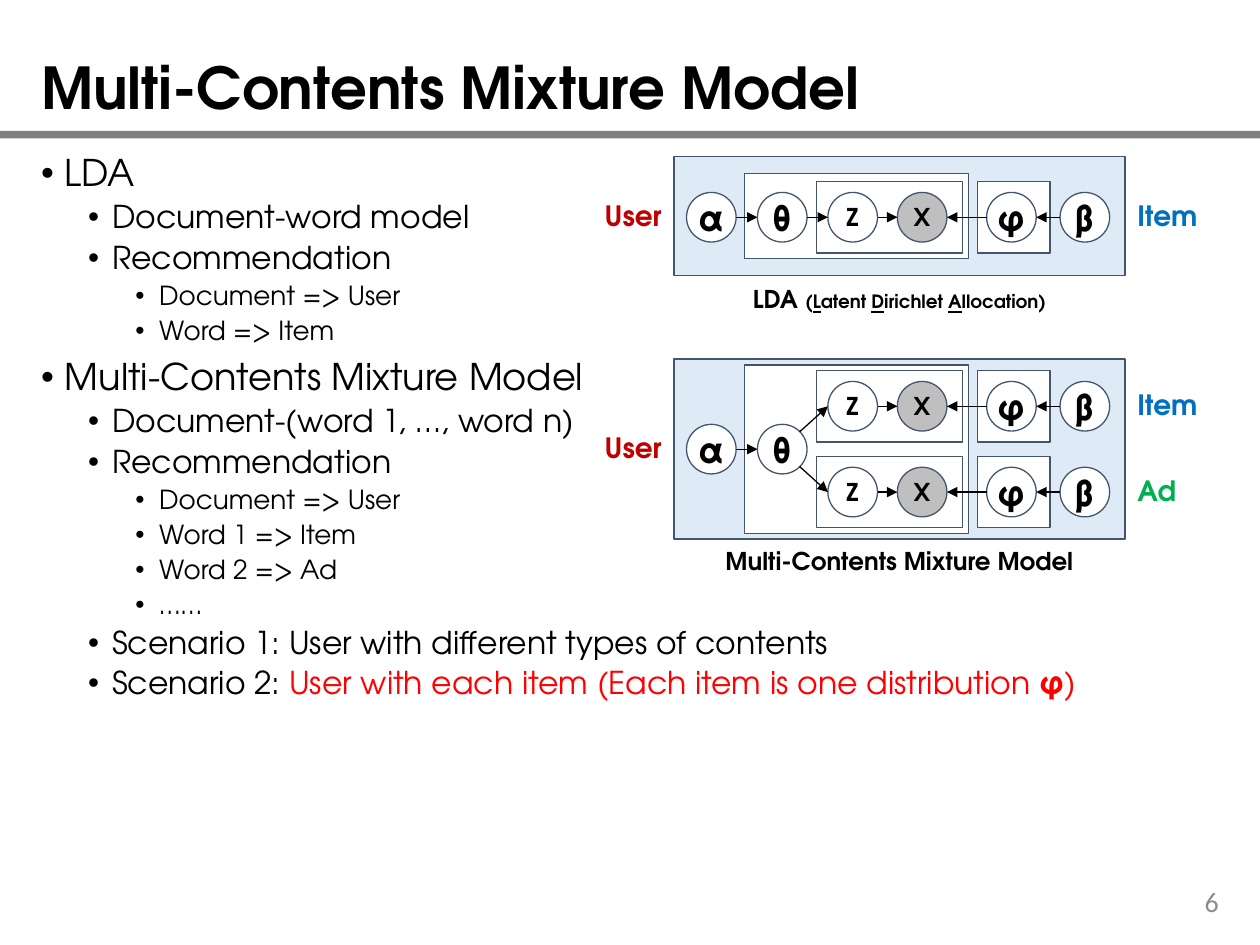
"""Builds the Multi-Contents Mixture Model slide."""
import pptx
import pptx.dml.color
import pptx.enum.shapes
import pptx.enum.text
import pptx.oxml.ns
import pptx.util
from lxml import etree
from pptx.util import Cm

RGBColor = pptx.dml.color.RGBColor
Shape = pptx.enum.shapes.MSO_SHAPE
Align = pptx.enum.text.PP_ALIGN
Anchor = pptx.enum.text.MSO_ANCHOR

BLACK = RGBColor(0, 0, 0)
WHITE = RGBColor(255, 255, 255)
GRAY = RGBColor(0x80, 0x80, 0x80)
NUMBER_GRAY = RGBColor(0x8C, 0x8C, 0x8C)
OBSERVED = RGBColor(0xBF, 0xBF, 0xBF)
PANEL = RGBColor(0xDE, 0xEB, 0xF7)
OUTLINE = RGBColor(0x44, 0x54, 0x6A)
RED = RGBColor(255, 0, 0)
DARK_RED = RGBColor(0xC0, 0, 0)
BLUE = RGBColor(0, 0x70, 0xC0)
GREEN = RGBColor(0, 0xB0, 0x50)

DIAMETER = 1.0
RADIUS = DIAMETER / 2
PANEL_LEFT, PANEL_WIDTH = 13.59, 9.09
ALPHA, THETA, Z, X, PHI, BETA = 14.34, 15.77, 17.19, 18.59, 20.39, 21.87
LEVELS = [(21, 7.5, 0.48), (18, 3.8, 1.43), (15, 3.8, 2.38)]


class SlideBuilder:
    def __init__(self, slide, font="TeX Gyre Adventor"):
        self.slide = slide
        self.font = font

    def style(self, paragraph, size, color=BLACK, bold=False, font=None):
        paragraph.font.size = pptx.util.Pt(size)
        paragraph.font.bold = bold
        paragraph.font.color.rgb = color
        paragraph.font.name = font or self.font
        properties = paragraph._p.get_or_add_pPr().find(pptx.oxml.ns.qn("a:defRPr"))
        east_asian = etree.SubElement(properties, pptx.oxml.ns.qn("a:ea"))
        east_asian.set("typeface", font or self.font)

    def text(self, left, top, width, height, text, size, color=BLACK, bold=True,
             align=Align.LEFT, spacing=1.0, wrap=False, font=None):
        box = self.slide.shapes.add_textbox(Cm(left), Cm(top), Cm(width), Cm(height))
        box.text_frame.word_wrap = wrap
        box.text_frame.vertical_anchor = Anchor.MIDDLE
        paragraph = box.text_frame.paragraphs[0]
        paragraph.text = text
        paragraph.alignment = align
        paragraph.line_spacing = spacing
        self.style(paragraph, size, color, bold, font)
        return paragraph

    def outline(self, left, top, width, height, items):
        box = self.slide.shapes.add_textbox(Cm(left), Cm(top), Cm(width), Cm(height))
        frame = box.text_frame
        frame.word_wrap = True
        for index, (level, text) in enumerate(items):
            paragraph = frame.add_paragraph() if index else frame.paragraphs[0]
            paragraph.level = level
            size, before, indent = LEVELS[level]
            properties = paragraph._p.get_or_add_pPr()
            properties.set("marL", str(Cm(indent)))
            properties.set("indent", str(Cm(-0.48)))
            bullet_font = etree.SubElement(properties, pptx.oxml.ns.qn("a:buFont"))
            bullet_font.set("typeface", "Arial")
            bullet = etree.SubElement(properties, pptx.oxml.ns.qn("a:buChar"))
            bullet.set("char", "•")
            paragraph.line_spacing = 0.9
            paragraph.space_before = pptx.util.Pt(before)
            self.style(paragraph, size)
            paragraph.add_run().text = text
        return paragraph

    def shape(self, kind, left, top, width, height, fill, line=OUTLINE):
        shape = self.slide.shapes.add_shape(kind, Cm(left), Cm(top), Cm(width), Cm(height))
        shape.shadow.inherit = False
        shape.fill.solid()
        shape.fill.fore_color.rgb = fill
        if line is None:
            shape.line.fill.background()
        else:
            shape.line.color.rgb = line
            shape.line.width = pptx.util.Pt(0.75)
        return shape

    def box(self, left, top, width, height, fill=WHITE, line=OUTLINE):
        return self.shape(Shape.RECTANGLE, left, top, width, height, fill, line)

    def node(self, x, y, letter, size=20, fill=WHITE):
        shape = self.shape(Shape.OVAL, x - RADIUS, y - RADIUS, DIAMETER, DIAMETER, fill)
        frame = shape.text_frame
        frame.word_wrap = False
        frame.vertical_anchor = Anchor.MIDDLE
        paragraph = frame.paragraphs[0]
        paragraph.text = letter
        paragraph.alignment = Align.CENTER
        self.style(paragraph, size, bold=True)

    def arrow(self, x1, y1, x2, y2):
        connector = self.slide.shapes.add_connector(
            pptx.enum.shapes.MSO_CONNECTOR.STRAIGHT, Cm(x1), Cm(y1), Cm(x2), Cm(y2))
        connector.line.color.rgb = BLACK
        connector.line.width = pptx.util.Pt(0.75)
        head = etree.SubElement(connector.line._get_or_add_ln(), pptx.oxml.ns.qn("a:tailEnd"))
        head.set("type", "triangle")
        etree.SubElement(connector._element.spPr, pptx.oxml.ns.qn("a:effectLst"))

    def link(self, start, end, y):
        step = RADIUS if end > start else -RADIUS
        self.arrow(start + step, y, end - step, y)

    def label(self, y, text, color, on_left=False):
        width = 1.8
        left = PANEL_LEFT - width if on_left else PANEL_LEFT + PANEL_WIDTH
        self.text(left, y - 0.43, width, 0.86, text, 16, color, spacing=0.9,
                  align=Align.RIGHT if on_left else Align.LEFT)

    def caption(self, top, text):
        return self.text(PANEL_LEFT, top, PANEL_WIDTH, 0.86, text, 14, align=Align.CENTER)

    def diagram(self, top, height, margin, rows):
        self.box(PANEL_LEFT, top, PANEL_WIDTH, height, PANEL)
        self.box(15.01, top + margin, 4.52, height - 2 * margin)
        middle = sum(y for y, _, _ in rows) / len(rows)
        self.node(ALPHA, middle, "α")
        self.node(THETA, middle, "θ")
        self.link(ALPHA, THETA, middle)
        self.label(middle, "User", DARK_RED, on_left=True)
        for y, name, color in rows:
            self.box(16.46, y - 0.72, 2.95, 1.44)
            self.box(19.7, y - 0.72, 1.47, 1.44)
            self.node(Z, y, "Z", 14)
            self.node(X, y, "X", 14, OBSERVED)
            self.node(PHI, y, "φ")
            self.node(BETA, y, "β")
            for start, end in [(Z, X), (PHI, X), (BETA, PHI)]:
                self.link(start, end, y)
            if y == middle:
                self.link(THETA, Z, y)
            else:
                rise = 0.35 if y > middle else -0.35
                self.arrow(THETA + 0.35, middle + rise, Z - RADIUS, y)
            self.label(y, name, color)


presentation = pptx.Presentation()
presentation.slide_width, presentation.slide_height = Cm(25.4), Cm(19.05)
builder = SlideBuilder(presentation.slides.add_slide(presentation.slide_layouts[6]))

builder.box(0, 2.64, 25.4, 0.15, GRAY, None)
builder.text(0.58, 1.02, 24.31, 1.62, "Multi-Contents Mixture Model", 33, spacing=0.9, wrap=True)
scenario = builder.outline(0.58, 3.0, 24.31, 14.15, [
    (0, "LDA"),
    (1, "Document-word model"),
    (1, "Recommendation"),
    (2, "Document => User"),
    (2, "Word => Item"),
    (0, "Multi-Contents Mixture Model"),
    (1, "Document-(word 1, …, word n)"),
    (1, "Recommendation"),
    (2, "Document => User"),
    (2, "Word 1 => Item"),
    (2, "Word 2 => Ad"),
    (2, "……"),
    (1, "Scenario 1: User with different types of contents"),
    (1, "Scenario 2: "),
])
for text, bold in [("User with each item (Each item is one distribution ", False),
                   ("φ", True), (")", False)]:
    run = scenario.add_run()
    run.text = text
    run.font.bold = bold
    run.font.color.rgb = RED
builder.text(19.1, 17.65, 5.72, 1.02, "6", 16, NUMBER_GRAY, False, Align.RIGHT,
             wrap=True, font="Calibri")

builder.diagram(3.15, 2.41, 0.35, [(4.38, "Item", BLUE)])
allocation = builder.caption(5.59, "LDA ")
for text, underline in [("(", False), ("L", True), ("atent ", False), ("D", True),
                        ("irichlet ", False), ("A", True), ("llocation)", False)]:
    run = allocation.add_run()
    run.text = text
    run.font.size = pptx.util.Pt(10.5)
    run.font.underline = underline

builder.diagram(7.24, 3.63, 0.12, [(8.19, "Item", BLUE), (9.92, "Ad", GREEN)])
builder.caption(10.87, "Multi-Contents Mixture Model")

presentation.save("out.pptx")
